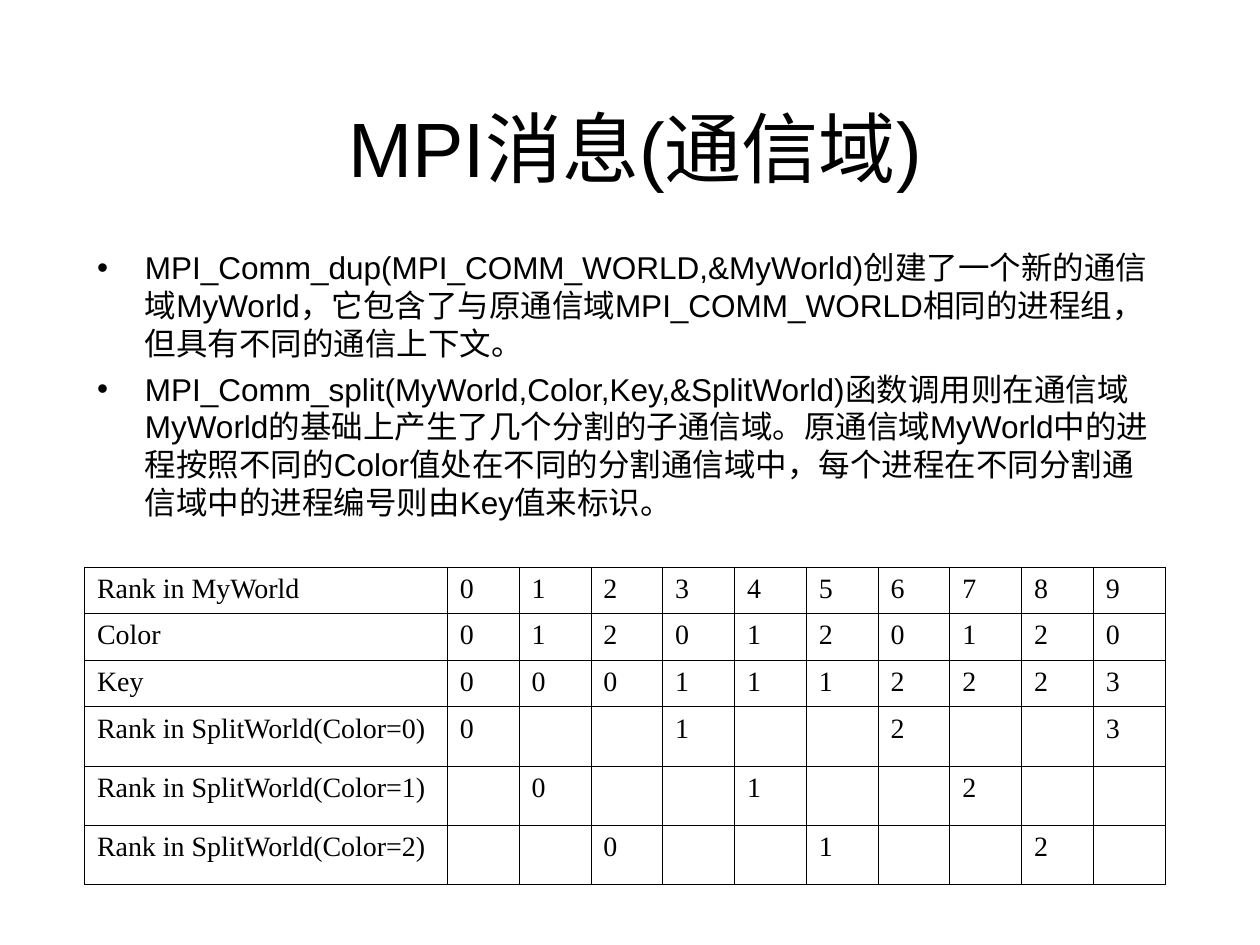
from lxml.etree import SubElement
from pptx import Presentation
from pptx.dml.color import RGBColor
from pptx.enum.text import MSO_ANCHOR, MSO_AUTO_SIZE, PP_ALIGN
from pptx.oxml.ns import qn
from pptx.util import Inches, Pt

BLACK = RGBColor(0x00, 0x00, 0x00)
WHITE = RGBColor(0xFF, 0xFF, 0xFF)
RANKS = range(10)
COLORS = 3
TITLE = "MPI消息(通信域)"
POINTS = [
    "MPI_Comm_dup(MPI_COMM_WORLD,&MyWorld)创建了一个新的通信域MyWorld，"
    "它包含了与原通信域MPI_COMM_WORLD相同的进程组，但具有不同的通信上下文。",
    "MPI_Comm_split(MyWorld,Color,Key,&SplitWorld)函数调用则在通信域MyWorld的基础上"
    "产生了几个分割的子通信域。原通信域MyWorld中的进程按照不同的Color值处在不同的"
    "分割通信域中，每个进程在不同分割通信域中的进程编号则由Key值来标识。",
]


class SlideBuilder:
    """Holds the text style and the current slide."""

    heading_font = "Arial"
    table_font = "Times New Roman"
    indent = Inches(0.38)

    def __init__(self, deck):
        self.slide = deck.slides.add_slide(deck.slide_layouts[1])
        self.slide.background.fill.solid()
        self.slide.background.fill.fore_color.rgb = WHITE

    def place(self, box, left, top, width, height):
        box.left, box.top = Inches(left), Inches(top)
        box.width, box.height = Inches(width), Inches(height)
        box.text_frame.word_wrap = True
        box.text_frame.auto_size = MSO_AUTO_SIZE.NONE
        return box.text_frame

    def add_span(self, para, text, size, font):
        span = para.add_run()
        span.text = text
        span.font.size = Pt(size)
        span.font.name = font
        span.font.color.rgb = BLACK

    def hang(self, para):
        properties = para._p.get_or_add_pPr()
        properties.set("marL", str(self.indent))
        properties.set("indent", str(-self.indent))
        return properties

    def title(self, text, *place):
        frame = self.place(self.slide.shapes.title, *place)
        frame.vertical_anchor = MSO_ANCHOR.MIDDLE
        para = frame.paragraphs[0]
        para.alignment = PP_ALIGN.CENTER
        self.add_span(para, text, 44, self.heading_font)

    def bullets(self, points, *place):
        frame = self.place(self.slide.placeholders[1], *place)
        for index, point in enumerate(points):
            para = frame.add_paragraph() if index else frame.paragraphs[0]
            SubElement(self.hang(para), qn("a:buChar"), char="•")
            para.space_before = Pt(4.5 if index else 0)
            self.add_span(para, point, 18, self.heading_font)

    def border(self, cell):
        properties = cell._tc.get_or_add_tcPr()
        for side in ("a:lnL", "a:lnR", "a:lnT", "a:lnB"):
            line = SubElement(properties, qn(side), w=str(Pt(0.45)))
            fill = SubElement(line, qn("a:solidFill"))
            SubElement(fill, qn("a:srgbClr"), val=str(BLACK))

    def table(self, rows, left, top, widths, heights):
        frame = self.slide.shapes.add_table(
            len(rows), len(widths), Inches(left), Inches(top),
            Inches(sum(widths)), Inches(sum(heights)))
        table = frame.table
        table.first_row = table.horz_banding = False
        for column, width in zip(table.columns, widths):
            column.width = Inches(width)
        for row, height, values in zip(table.rows, heights, rows):
            row.height = Inches(height)
            for cell, value in zip(row.cells, values):
                self.border(cell)
                cell.fill.background()
                if value != "":
                    para = cell.text_frame.paragraphs[0]
                    self.hang(para)
                    self.add_span(para, str(value), 16, self.table_font)


def split_rows():
    """Return the rank table of the split communicators."""
    rows = [
        ["Rank in MyWorld", *RANKS],
        ["Color", *(rank % COLORS for rank in RANKS)],
        ["Key", *(rank // COLORS for rank in RANKS)],
    ]
    for color in range(COLORS):
        keys = [rank // COLORS if rank % COLORS == color else "" for rank in RANKS]
        rows.append([f"Rank in SplitWorld(Color={color})", *keys])
    return rows


def main():
    """Build the slide and save the deck."""
    deck = Presentation()
    deck.slide_width, deck.slide_height = Inches(10), Inches(7.5)
    builder = SlideBuilder(deck)
    builder.title(TITLE, 0.75, 0.75, 8.58, 0.83)
    builder.bullets(POINTS, 0.67, 1.92, 8.58, 2.42)
    builder.table(split_rows(), 0.67, 4.5,
                  [2.88] + [0.57] * len(RANKS), [0.37] * 3 + [0.47] * 3)
    deck.save("out.pptx")


if __name__ == "__main__":
    main()
